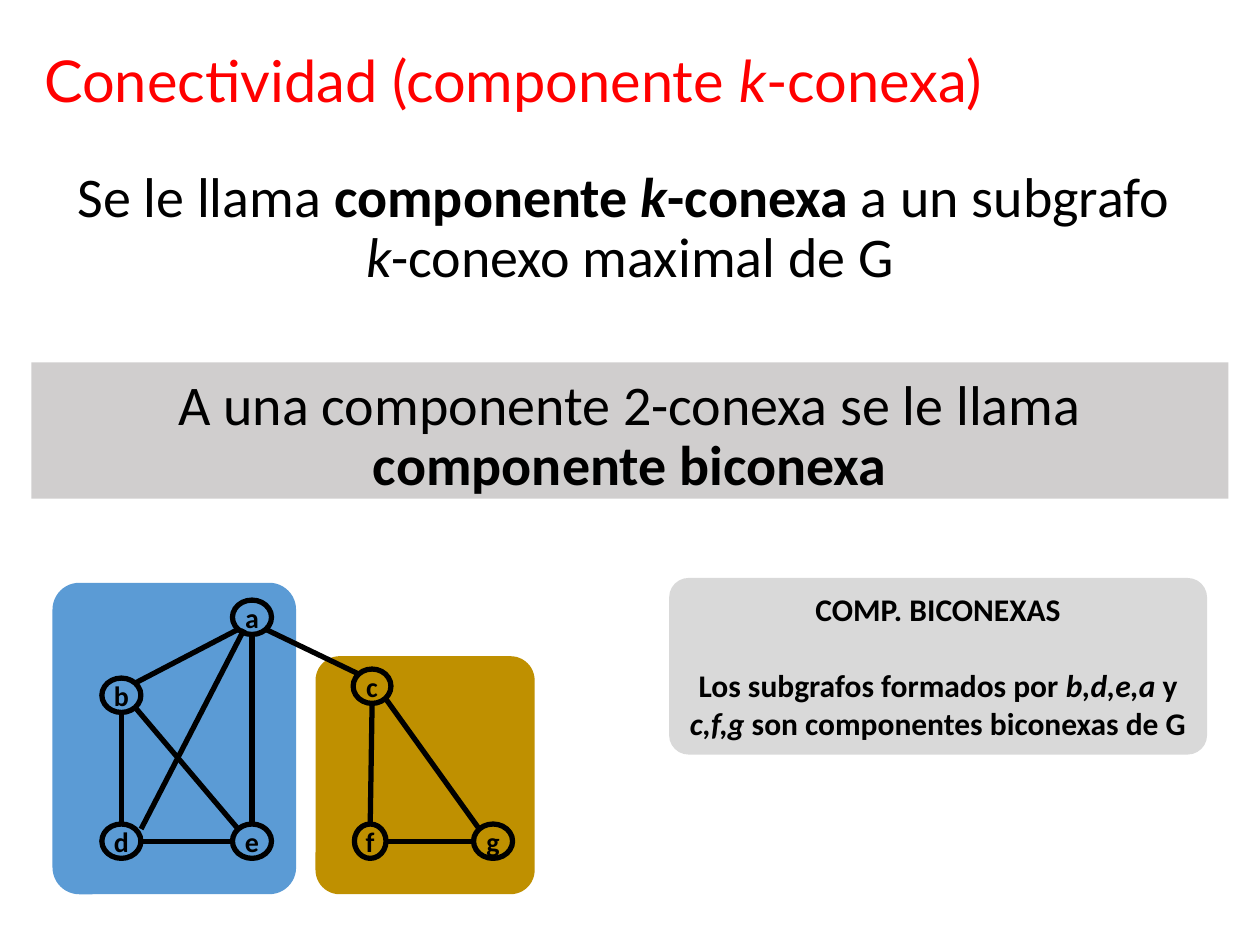
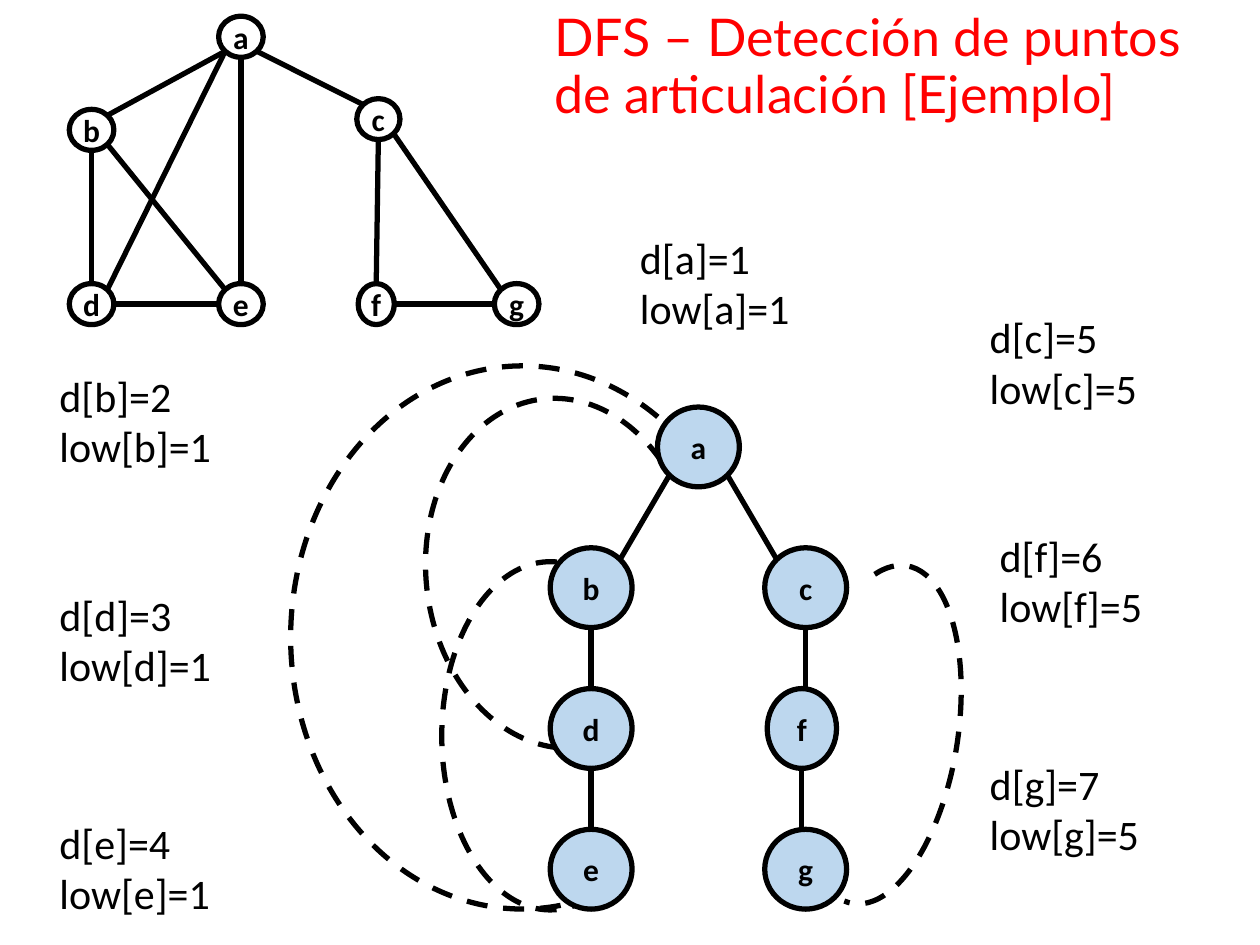
from math import cos, radians, sin

from lxml import etree
from pptx import Presentation
from pptx.dml.color import RGBColor
from pptx.enum.dml import MSO_LINE
from pptx.enum.shapes import MSO_CONNECTOR, MSO_SHAPE
from pptx.enum.text import MSO_ANCHOR, PP_ALIGN
from pptx.oxml.ns import qn
from pptx.util import Pt

RECTANGLE = MSO_SHAPE.RECTANGLE
ROUNDED = MSO_SHAPE.ROUNDED_RECTANGLE
OVAL = MSO_SHAPE.OVAL
ARC = MSO_SHAPE.ARC
STRAIGHT = MSO_CONNECTOR.STRAIGHT
DASH = MSO_LINE.DASH
TOP, MIDDLE = MSO_ANCHOR.TOP, MSO_ANCHOR.MIDDLE
LEFT, CENTER = PP_ALIGN.LEFT, PP_ALIGN.CENTER

COLORS = {
    "title": "FF0000",
    "ink": "000000",
    "band": "D0CECE",
    "note": "D9D9D9",
    "blue_component": "5B9BD5",
    "gold_component": "BF9000",
    "tree_node": "BDD7EE",
}
TITLE_FONT = "Lato"
BODY_FONT = "Calibri"
STROKE = 3
ARC_UNITS_PER_DEGREE = 0.6

SITE_ANGLES = {
    "n": -90, "nw": -135, "w": 180, "sw": 135,
    "s": 90, "se": 45, "e": 0, "ne": -45,
}

GRAPH_NODES = {
    "e": (0.318, 0.867, 0.095),
    "d": (0, 0.867, 0.095),
    "g": (0.905, 0.867, 0.095),
    "f": (0.615, 0.867, 0.077),
    "c": (0.612, 0.267, 0.092),
    "b": (0, 0.302, 0.095),
    "a": (0.318, 0, 0.095),
}
GRAPH_NODE_HEIGHT = 0.133
GRAPH_EDGES = [
    ("b", "s", "d", "n"), ("a", "s", "e", "n"), ("d", "e", "e", "w"),
    ("b", "ne", "a", "sw"), ("b", "se", "e", "nw"), ("a", "se", "c", "nw"),
    ("c", "s", "f", "n"), ("f", "e", "g", "w"), ("c", "se", "g", "nw"),
]

TREE_NODES = {
    "a": (1, 0), "b": (0, 1), "d": (0, 2), "e": (0, 3),
    "c": (2, 1), "f": (2, 2), "g": (2, 3),
}
TREE_EDGES = [
    ("a", "sw", "b", "ne"), ("b", "s", "d", "n"), ("d", "s", "e", "n"),
    ("a", "se", "c", "nw"), ("c", "s", "f", "n"), ("f", "s", "g", "n"),
]
BACK_EDGES = [
    ((0, 187.9), (199, 124), 90, 345.9, 183.3),
    ((-15.8, 131.7), (310.4, 265), 90, 344.1, 218.1),
    ((6.5, 95), (200.4, 155), 84.1, 342.7, 227.8),
    ((188.3, 187.2), (195.4, 89), 279.1, 349.1, 182.9),
]
NODE_VALUES = [
    ("a", 1, 1, 358.6, 129.3),
    ("b", 2, 1, 26.9, 208.2),
    ("c", 5, 5, 558.5, 174.7),
    ("d", 3, 1, 26.9, 333.2),
    ("e", 4, 1, 26.9, 463.5),
    ("f", 6, 5, 564.2, 299.5),
    ("g", 7, 5, 558.5, 429.8),
]


def color(name):
    return RGBColor.from_string(COLORS[name])


def write_text(shape, paragraphs, size, font=BODY_FONT, ink="ink", bold=False,
               align=LEFT, anchor=TOP, wrap=True, gap=0, spacing=1.0):
    frame = shape.text_frame
    frame.word_wrap = wrap
    frame.vertical_anchor = anchor
    for index, runs in enumerate(paragraphs):
        paragraph = frame.add_paragraph() if index else frame.paragraphs[0]
        paragraph.alignment = align
        paragraph.line_spacing = spacing
        if index:
            paragraph.space_before = Pt(gap)
        for text, style in [(runs, "")] if isinstance(runs, str) else runs:
            if text == "\n":
                paragraph.add_line_break()
                continue
            run = paragraph.add_run()
            run.text = text
            run.font.name = font
            run.font.size = Pt(size)
            run.font.color.rgb = color(ink)
            run.font.bold = bold or "b" in style
            run.font.italic = "i" in style


def add_text(slide, box, paragraphs, **text_format):
    shape = slide.shapes.add_textbox(*map(Pt, box))
    write_text(shape, paragraphs, **text_format)


def add_panel(shapes, kind, box, fill=None, outline=False, corner=None):
    shape = shapes.add_shape(kind, *map(Pt, box))
    shape.shadow.inherit = False
    if fill:
        shape.fill.solid()
        shape.fill.fore_color.rgb = color(fill)
    else:
        shape.fill.background()
    if outline:
        shape.line.color.rgb = color("ink")
        shape.line.width = Pt(STROKE)
    else:
        shape.line.fill.background()
    if corner:
        shape.adjustments[0] = corner
    return shape


def add_title(slide, box, runs, size):
    add_text(slide, box, [runs], size=size, font=TITLE_FONT, ink="title",
             anchor=MIDDLE, spacing=0.9)


def add_node(shapes, box, name, size, fill=None):
    node = add_panel(shapes, OVAL, box, fill, outline=True)
    write_text(node, [name], size=size, bold=True, align=CENTER,
               anchor=MIDDLE, wrap=False)


def site_point(box, site):
    left, top, width, height = box
    angle = radians(SITE_ANGLES[site])
    return (left + width / 2 * (1 + cos(angle)),
            top + height / 2 * (1 + sin(angle)))


def add_edge(shapes, boxes, edge, shift=0, upright=False):
    begin, begin_site, end, end_site = edge
    begin_x, begin_y = site_point(boxes[begin], begin_site)
    end_x, end_y = site_point(boxes[end], end_site)
    if upright and begin_site == "s":
        end_x = begin_x
    connector = shapes.add_connector(
        STRAIGHT, Pt(begin_x + shift), Pt(begin_y), Pt(end_x + shift), Pt(end_y))
    connector.line.color.rgb = color("ink")
    connector.line.width = Pt(STROKE)
    properties = connector._element.find(qn("p:spPr"))
    etree.SubElement(properties, qn("a:effectLst"))


def add_graph(slide, box, size, diagonal_shift=0):
    left, top, width, height = box
    shapes = slide.shapes.add_group_shape().shapes
    boxes = {
        name: (left + x * width, top + y * height,
               node_width * width, GRAPH_NODE_HEIGHT * height)
        for name, (x, y, node_width) in GRAPH_NODES.items()
    }
    for name, node_box in boxes.items():
        add_node(shapes, node_box, name, size)
    for edge in GRAPH_EDGES:
        add_edge(shapes, boxes, edge)
    add_edge(shapes, boxes, ("d", "ne", "a", "sw"), diagonal_shift)


def add_back_edge(slide, center, size, rotation, start, end):
    (x, y), (width, height) = center, size
    box = (x - width / 2, y - height / 2, width, height)
    arc = add_panel(slide.shapes, ARC, box, outline=True)
    arc.rotation = rotation
    arc.adjustments[0] = start * ARC_UNITS_PER_DEGREE
    arc.adjustments[1] = end * ARC_UNITS_PER_DEGREE
    arc.line.dash_style = DASH


def add_search_tree(slide, box):
    left, top, width, height = box
    node_width, node_height = 46.8, 45.6
    column_step = (width - node_width) / 2
    row_step = (height - node_height) / 3
    for (x, y), size, rotation, start, end in BACK_EDGES:
        add_back_edge(slide, (left + x, top + y), size, rotation, start, end)
    boxes = {
        name: (left + column * column_step, top + row * row_step,
               node_width, node_height)
        for name, (column, row) in TREE_NODES.items()
    }
    f_left, f_top = boxes["f"][:2]
    boxes["f"] = (f_left + 1.4, f_top, 39.6, node_height)
    for name, node_box in boxes.items():
        add_node(slide.shapes, node_box, name, 18, "tree_node")
    for edge in TREE_EDGES:
        add_edge(slide.shapes, boxes, edge, upright=True)


def add_definition(slide, box):
    left, top, width, height = box
    add_panel(slide.shapes, RECTANGLE, (left, top + 114.2, width, 77.8), "band")
    add_text(slide, box, [
        [("Se le llama ", ""), ("componente ", "b"), ("k", "bi"),
         ("-conexa", "b"), (" a un subgrafo ", ""), ("\n", ""),
         ("k", "i"), ("-conexo maximal de G", "")],
        [("A una componente 2-conexa se le llama ", ""),
         ("componente biconexa", "b")],
    ], size=32, align=CENTER, gap=49.8, spacing=0.9)


def add_biconnected_note(slide, box):
    note = add_panel(slide.shapes, ROUNDED, box, "note", corner=0.11)
    write_text(note, [
        "COMP. BICONEXAS",
        [("Los subgrafos formados por ", ""), ("b,d,e,a ", "i"), ("y ", ""),
         ("c,f,g", "i"), (" son componentes biconexas de G", "")],
    ], size=18, bold=True, align=CENTER, gap=22)


def build_component_slide(slide):
    add_title(slide, (18.2, 21, 684, 54),
              [("Conectividad (componente ", ""), ("k", "i"), ("-conexa)", "")], 33)
    add_definition(slide, (18, 92.9, 684, 225))
    add_panel(slide.shapes, ROUNDED, (180.3, 375, 125.2, 136), "gold_component",
              corner=0.11)
    add_panel(slide.shapes, ROUNDED, (30, 333, 139.2, 178), "blue_component",
              corner=0.11)
    add_graph(slide, (58.2, 342.9, 234.7, 147.6), 16, diagonal_shift=3.4)
    add_biconnected_note(slide, (382.4, 330.3, 307.4, 100.9))


def build_search_slide(slide):
    add_search_tree(slide, (314.4, 232.6, 169.4, 286.9))
    for name, discovery, low, left, top in NODE_VALUES:
        add_text(slide, (left, top, 158.4, 65.5),
                 [f"d[{name}]={discovery}", f"low[{name}]={low}"], size=24)
    add_graph(slide, (39.6, 9.3, 268.4, 176.2), 18)
    add_title(slide, (309.6, 11.9, 392.4, 54),
              "DFS – Detección de puntos de articulación [Ejemplo]", 29.7)


def main():
    presentation = Presentation()
    presentation.slide_width = Pt(720)
    presentation.slide_height = Pt(540)
    blank = presentation.slide_layouts[6]
    for build in (build_component_slide, build_search_slide):
        build(presentation.slides.add_slide(blank))
    presentation.save("out.pptx")


if __name__ == "__main__":
    main()
